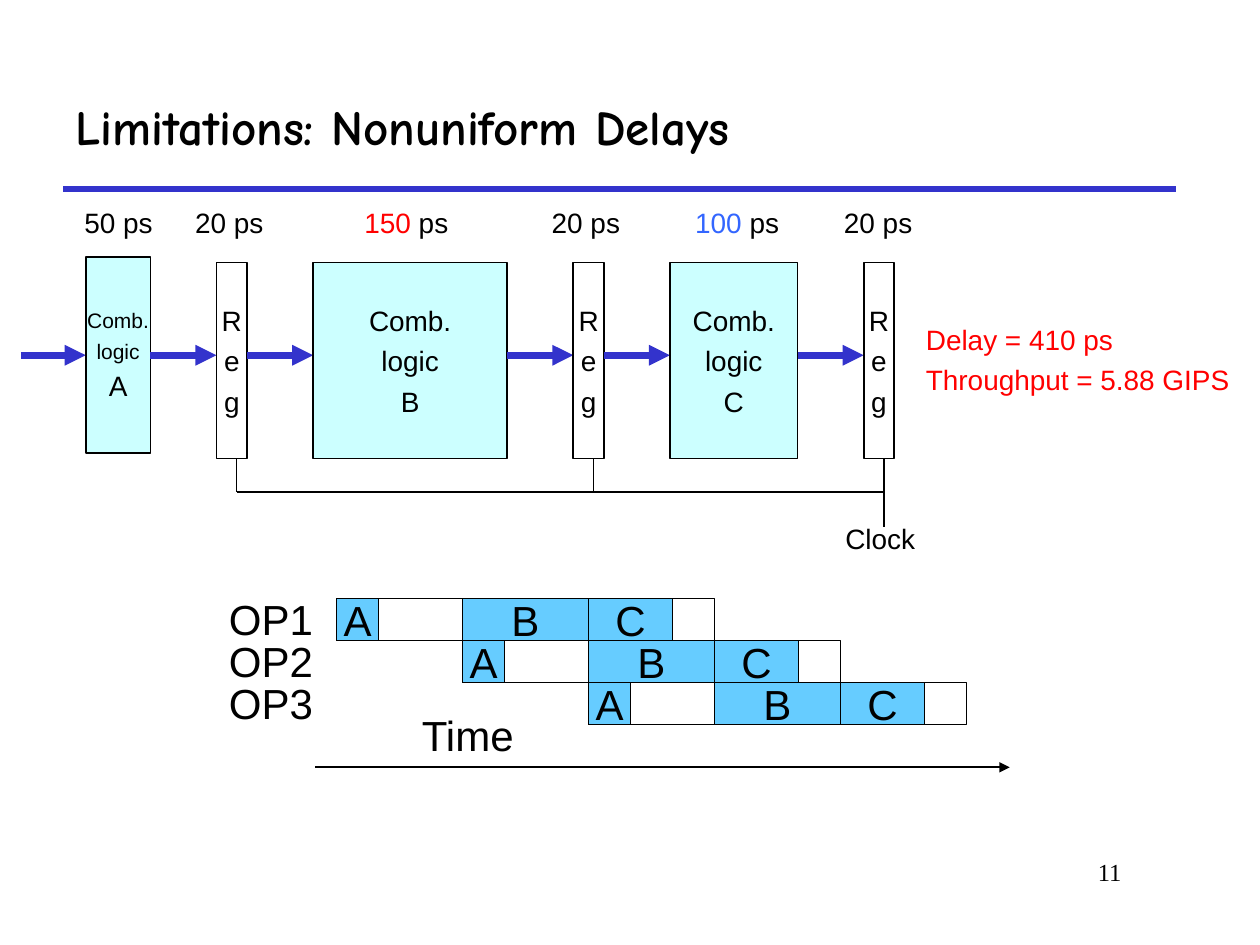
"""Build the slide on how nonuniform stage delays limit a pipeline."""
import pptx
import pptx.util
import pptx.dml.color
import pptx.enum.shapes
import pptx.enum.text
import pptx.oxml
import pptx.oxml.ns

Pt = pptx.util.Pt
RGBColor = pptx.dml.color.RGBColor
ALIGN = pptx.enum.text.PP_ALIGN
MIDDLE = pptx.enum.text.MSO_ANCHOR.MIDDLE
RECTANGLE = pptx.enum.shapes.MSO_SHAPE.RECTANGLE

BLACK = RGBColor(0x00, 0x00, 0x00)
WHITE = RGBColor(0xFF, 0xFF, 0xFF)
RED = RGBColor(0xFF, 0x00, 0x00)
BLUE = RGBColor(0x33, 0x66, 0xFF)
INDIGO = RGBColor(0x33, 0x33, 0xCC)
PALE_CYAN = RGBColor(0xCC, 0xFF, 0xFF)
SKY = RGBColor(0x66, 0xCC, 0xFF)

presentation = pptx.Presentation()
presentation.slide_width, presentation.slide_height = Pt(720), Pt(540)
slide = presentation.slides.add_slide(presentation.slide_layouts[5])
shapes = slide.shapes


def add_block(left, top, width, height, lines=(), sizes=(), fill=None, outline=None,
              align=ALIGN.CENTER, color=BLACK, before=0, font="Arial"):
    if fill is None and outline is None:
        block = shapes.add_textbox(Pt(left), Pt(top), Pt(width), Pt(height))
    else:
        block = shapes.add_shape(RECTANGLE, Pt(left), Pt(top), Pt(width), Pt(height))
        block.shadow.inherit = False
        block.text_frame.vertical_anchor = MIDDLE
        if fill is None:
            block.fill.background()
        else:
            block.fill.solid()
            block.fill.fore_color.rgb = fill
        if outline is None:
            block.line.fill.background()
        else:
            block.line.color.rgb = BLACK
            block.line.width = Pt(outline)
    block.text_frame.word_wrap = False
    if lines:
        block.text_frame.text = "\n".join(lines)
    for paragraph, size in zip(block.text_frame.paragraphs, sizes):
        paragraph.alignment = align
        paragraph.space_before = Pt(before)
        paragraph.font.name = font
        paragraph.font.size = Pt(size)
        paragraph.font.color.rgb = color
    return block


def add_line(x1, y1, x2, y2, color=BLACK, width=1, arrow=False):
    line = shapes.add_connector(pptx.enum.shapes.MSO_CONNECTOR.STRAIGHT,
                                Pt(x1), Pt(y1), Pt(x2), Pt(y2))
    line.line.color.rgb = color
    line.line.width = Pt(width)
    properties = line._element.spPr
    if arrow:
        head = pptx.oxml.parse_xml(
            f'<a:tailEnd {pptx.oxml.ns.nsdecls("a")} type="triangle"/>')
        properties.find(pptx.oxml.ns.qn("a:ln")).append(head)
    properties.append(
        pptx.oxml.parse_xml(f'<a:effectLst {pptx.oxml.ns.nsdecls("a")}/>'))
    return line


title = shapes.title
title.left, title.top, title.width, title.height = Pt(36), Pt(36), Pt(636), Pt(72)
title.text_frame.text = "Limitations: Nonuniform Delays"
title.text_frame.vertical_anchor = MIDDLE
heading = title.text_frame.paragraphs[0]
heading.alignment = ALIGN.LEFT
heading.font.name = "Comic Neue"
heading.font.size = Pt(28)
heading.font.bold = True
heading.font.color.rgb = BLACK
add_line(36, 108, 672, 108, INDIGO, 3)
add_block(546, 486, 102, 36, ["11"], [14], align=ALIGN.RIGHT, font="Times New Roman")

add_line(180, 438.5, 577, 438.5, arrow=True)
add_block(234, 402, 72, 36, ["Time"], [24], align=ALIGN.LEFT)

slot, cycle = 24, 72
for row in range(3):
    top = 342 + row * slot
    start = 192.3 + row * cycle
    add_block(120, top - 0.5, 66, slot, [f"OP{row + 1}"], [24], WHITE, align=ALIGN.RIGHT)
    for name, offset, width in (("A", 0, slot), ("B", cycle, cycle), ("C", 2 * cycle, 2 * slot)):
        add_block(start + offset, top, width, slot, [name], [24], SKY, 0.75)
    for offset in (0, 2 * cycle):
        add_block(start + offset, top, cycle, slot, outline=0.75)

stages = (
    ("A", 37, 50, BLACK, 67.7),
    ("Reg", 17.5, 20, BLACK, 131),
    ("B", 111, 150, RED, 232.2),
    ("Reg", 17.5, 20, BLACK, 334.8),
    ("C", 73, 100, BLUE, 421.2),
    ("Reg", 17.5, 20, BLACK, 501.8),
)
flow_y, bus_y, gap, label_width = 203, 281, 37.7, 94
previous_right, left = 12, 49
first_stage = None
tap_xs = []
for name, width, delay, delay_color, delay_center in stages:
    arrow = add_line(previous_right, flow_y, left, flow_y, INDIGO, 4, True)
    if name == "Reg":
        add_block(left, 150, width, 112, list(name), [16] * 3, WHITE, 1, before=4)
        tap_xs.append(left + 11.5)
        if len(tap_xs) == 1:
            arrow.begin_connect(first_stage, 3)
    else:
        is_first = first_stage is None
        stage = add_block(left, 147 if is_first else 150, width, 112, ["Comb.", "logic", name],
                          [12, 12, 16] if is_first else [16] * 3, PALE_CYAN, 1,
                          before=3 if is_first else 4)
        if is_first:
            first_stage = stage
            arrow.end_connect(first_stage, 1)
    label = add_block(delay_center - label_width / 2, 114, label_width, 26,
                      [f"{delay} "], [16], before=4)
    label_line = label.text_frame.paragraphs[0]
    label_line.runs[0].font.color.rgb = delay_color
    label_line.add_run().text = "ps"
    previous_right = left + width
    left = previous_right + gap

for tap_x, tap_end in zip(tap_xs, (bus_y, bus_y, 301)):
    add_line(tap_x, 262, tap_x, tap_end)
add_line(tap_xs[0], bus_y, tap_xs[-1], bus_y)
add_block(463, 294.5, 80, 26, ["Clock"], [16], before=4)
add_block(522, 180.7, 190, 50, ["Delay = 410 ps", "Throughput = 5.88 GIPS"], [16, 16],
          align=ALIGN.LEFT, color=RED, before=4)

presentation.save("out.pptx")
